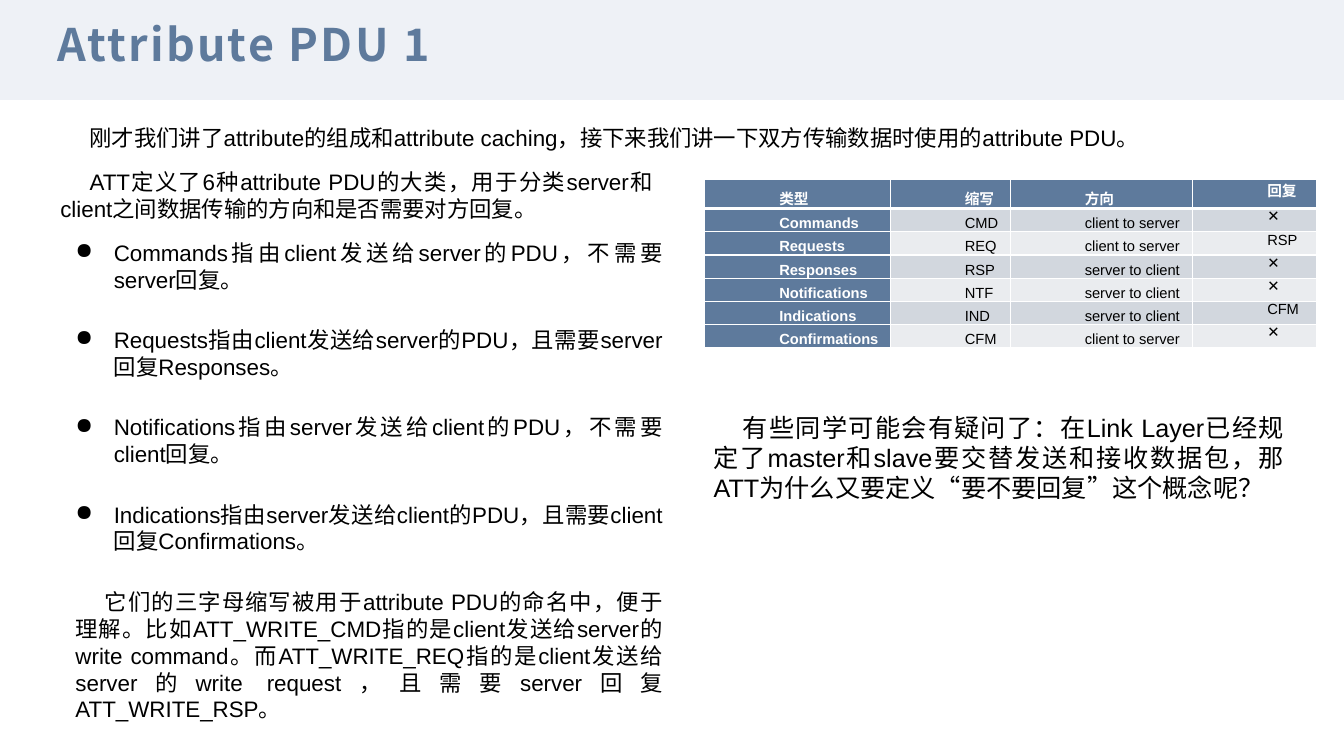
from dataclasses import dataclass

from lxml import etree
from pptx import Presentation
from pptx import util as u
from pptx.dml.color import RGBColor
from pptx.enum import shapes, text
from pptx.oxml import ns

EMU_PER_PX = 9144  # 100 px to the inch

STEEL = RGBColor(0x5E, 0x7A, 0x9C)
MIST = RGBColor(0xEE, 0xF1, 0xF6)
BAND_DARK = RGBColor(0xD2, 0xD7, 0xDE)
BAND_LIGHT = RGBColor(0xEA, 0xEC, 0xEF)
WHITE = RGBColor(0xFF, 0xFF, 0xFF)
BLACK = RGBColor(0, 0, 0)

LATIN_FONT = "Arial"
HAN_FONT = "Noto Sans CJK SC"


@dataclass(frozen=True)
class Box:
    left: int
    top: int
    width: int
    height: int

    def emu(self) -> tuple:
        return tuple(map(px, (self.left, self.top, self.width, self.height)))


@dataclass(frozen=True)
class Para:
    wording: str
    bullet: bool = False


@dataclass(frozen=True)
class Passage:
    box: Box
    size: int
    paras: tuple[Para, ...]


PASSAGES = (
    Passage(Box(50, 118, 1244, 37), 16, (
        Para("刚才我们讲了attribute的组成和attribute caching，接下来我们讲一下双方传输数据时使用的attribute PDU。"),)),
    Passage(Box(50, 162, 607, 64), 16, (
        Para("ATT定义了6种attribute PDU的大类，用于分类server和client之间数据传输的方向和是否需要对方回复。"),)),
    Passage(Box(65, 232, 602, 495), 16, (
        Para("Commands指由client发送给server的PDU，不需要server回复。", True),
        Para("Requests指由client发送给server的PDU，且需要server回复Responses。", True),
        Para("Notifications指由server发送给client的PDU，不需要client回复。", True),
        Para("Indications指由server发送给client的PDU，且需要client回复Confirmations。", True),
        Para("它们的三字母缩写被用于attribute PDU的命名中，便于理解。"
             "比如ATT_WRITE_CMD指的是client发送给server的write command。"
             "而ATT_WRITE_REQ指的是client发送给server的write request，且需要server回复ATT_WRITE_RSP。"))),
    Passage(Box(698, 404, 585, 101), 18, (
        Para("有些同学可能会有疑问了：在Link Layer已经规定了master和slave要交替发送和接收数据包，"
             "那ATT为什么又要定义“要不要回复”这个概念呢？"),)),
)

TO_SERVER, TO_CLIENT = "client to server", "server to client"
PDU_ROWS = (
    ("类型", "缩写", "方向", "回复"),
    ("Commands", "CMD", TO_SERVER, "✕"),
    ("Requests", "REQ", TO_SERVER, "RSP"),
    ("Responses", "RSP", TO_CLIENT, "✕"),
    ("Notifications", "NTF", TO_CLIENT, "✕"),
    ("Indications", "IND", TO_CLIENT, "CFM"),
    ("Confirmations", "CFM", TO_SERVER, "✕"),
)
PDU_BOX = Box(699, 178, 607, 168)
PDU_COLUMNS = (184, 119, 181, 123)
HEADER_HEIGHT, ROW_HEIGHT = 29, 23
REPLY_COLUMN = 3


def px(length: int) -> int:
    return length * EMU_PER_PX


def apply(target, **values) -> None:
    for name, value in values.items():
        setattr(target, name, value)


def add_wording(paragraph, wording: str, colour: RGBColor, latin: str = LATIN_FONT, **font_values):
    """Add a run whose Chinese characters use HAN_FONT, and return it."""
    run = paragraph.add_run()
    run.text = wording
    apply(run.font, name=latin, **font_values)
    run.font.color.rgb = colour
    etree.SubElement(run._r.get_or_add_rPr(), ns.qn("a:ea"), typeface=HAN_FONT)
    return run


def indent(paragraph, left: int, first_line: int):
    properties = paragraph._p.get_or_add_pPr()
    properties.set("marL", str(px(left)))
    properties.set("indent", str(px(first_line)))
    return properties


def add_title(slide) -> None:
    band = slide.shapes.add_shape(shapes.MSO_SHAPE.RECTANGLE, *Box(0, 0, 1333, 99).emu())
    band.shadow.inherit = False
    band.fill.solid()
    band.fill.fore_color.rgb = MIST
    band.line.fill.background()

    frame = slide.shapes.add_textbox(*Box(50, 10, 1233, 67).emu()).text_frame
    apply(frame, word_wrap=True, vertical_anchor=text.MSO_ANCHOR.MIDDLE,
          margin_left=px(7), margin_right=px(7), margin_top=px(3), margin_bottom=px(3))
    heading = add_wording(frame.paragraphs[0], "Attribute PDU 1", STEEL, HAN_FONT,
                          size=u.Pt(32), bold=True)
    heading._r.get_or_add_rPr().set("spc", "160")


def add_passage(slide, passage: Passage) -> None:
    frame = slide.shapes.add_textbox(*passage.box.emu()).text_frame
    apply(frame, word_wrap=True, auto_size=text.MSO_AUTO_SIZE.SHAPE_TO_FIT_TEXT)
    for index, para in enumerate(passage.paras):
        paragraph = frame.add_paragraph() if index else frame.paragraphs[0]
        if para.bullet:
            properties = indent(paragraph, 38, -38)
            etree.SubElement(properties, ns.qn("a:buChar"), char="●")
        else:
            indent(paragraph, 0, 29)
        apply(paragraph, alignment=text.PP_ALIGN.JUSTIFY,
              space_before=u.Pt(12 if index else 0), space_after=u.Pt(12))
        add_wording(paragraph, para.wording, BLACK, size=u.Pt(passage.size))


def add_borders(cell, bottom_points: int, top_points: int) -> None:
    """Draw white cell borders; must run before the cell is filled."""
    properties = cell._tc.get_or_add_tcPr()
    for side, points in (("L", 1), ("R", 1), ("T", top_points), ("B", bottom_points)):
        line = etree.SubElement(properties, ns.qn(f"a:ln{side}"), w=str(u.Pt(points)))
        fill = etree.SubElement(line, ns.qn("a:solidFill"))
        etree.SubElement(fill, ns.qn("a:srgbClr"), val=str(WHITE))


def add_pdu_table(slide) -> None:
    table = slide.shapes.add_table(len(PDU_ROWS), len(PDU_COLUMNS), *PDU_BOX.emu()).table
    for column, width in zip(table.columns, PDU_COLUMNS):
        column.width = px(width)
    for r, entries in enumerate(PDU_ROWS):
        table.rows[r].height = px(ROW_HEIGHT if r else HEADER_HEIGHT)
        band = BAND_DARK if r % 2 else BAND_LIGHT
        for c, entry in enumerate(entries):
            is_heading = r == 0 or c == 0
            cell = table.cell(r, c)
            add_borders(cell, bottom_points=1 if r else 3, top_points=3 if r == 1 else 1)
            apply(cell, margin_left=px(7), margin_right=px(7), margin_top=0, margin_bottom=0,
                  vertical_anchor=text.MSO_ANCHOR.TOP if c == REPLY_COLUMN else text.MSO_ANCHOR.BOTTOM)
            cell.fill.solid()
            cell.fill.fore_color.rgb = STEEL if is_heading else band
            paragraph = cell.text_frame.paragraphs[0]
            indent(paragraph, 0, 67)
            add_wording(paragraph, entry, WHITE if is_heading else BLACK,
                        size=u.Pt(10.5), bold=is_heading)


def main() -> None:
    deck = Presentation()
    apply(deck, slide_width=px(1333), slide_height=px(750))
    slide = deck.slides.add_slide(deck.slide_layouts[6])
    add_title(slide)
    add_pdu_table(slide)
    for passage in PASSAGES:
        add_passage(slide, passage)
    deck.save("out.pptx")


if __name__ == "__main__":
    main()
